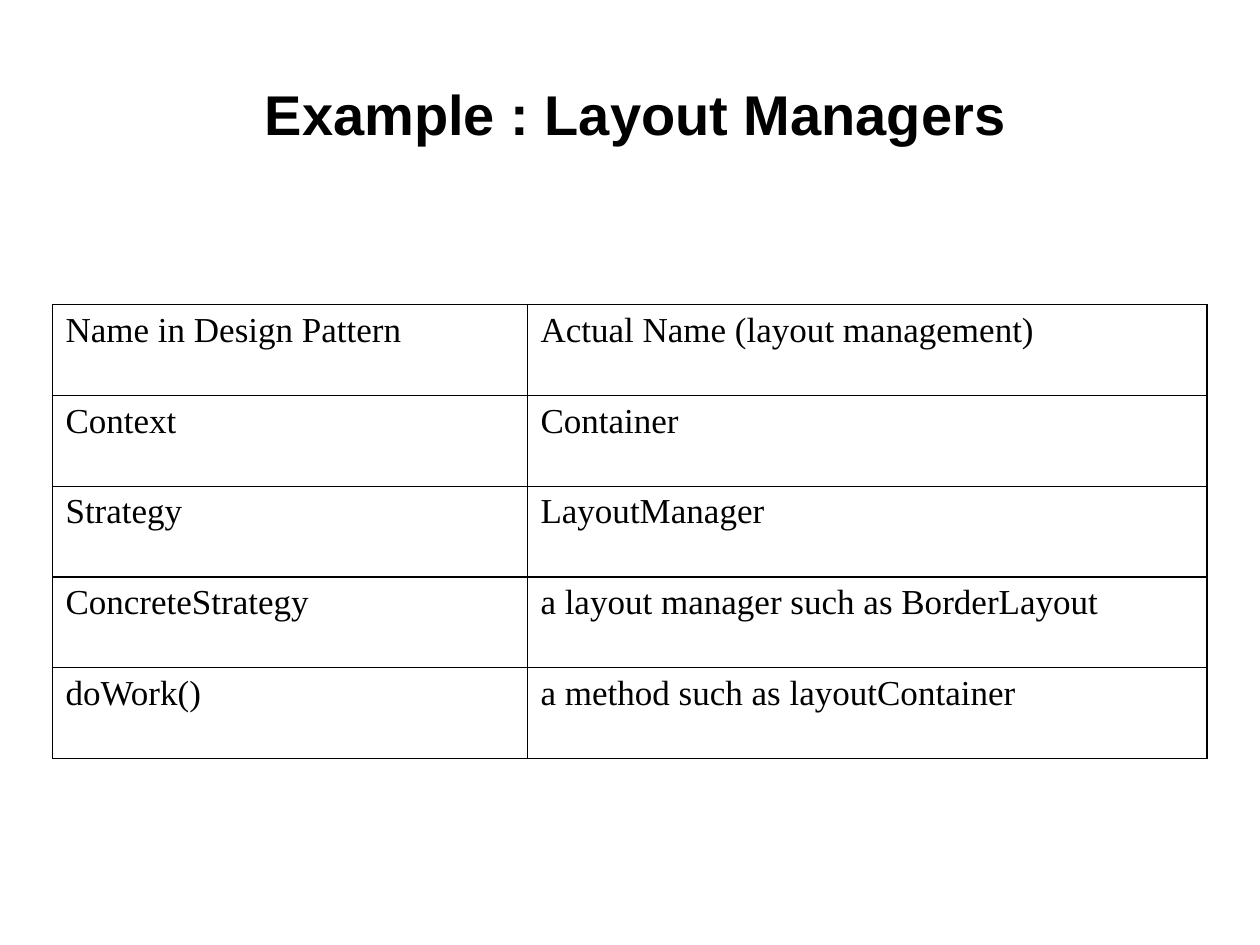
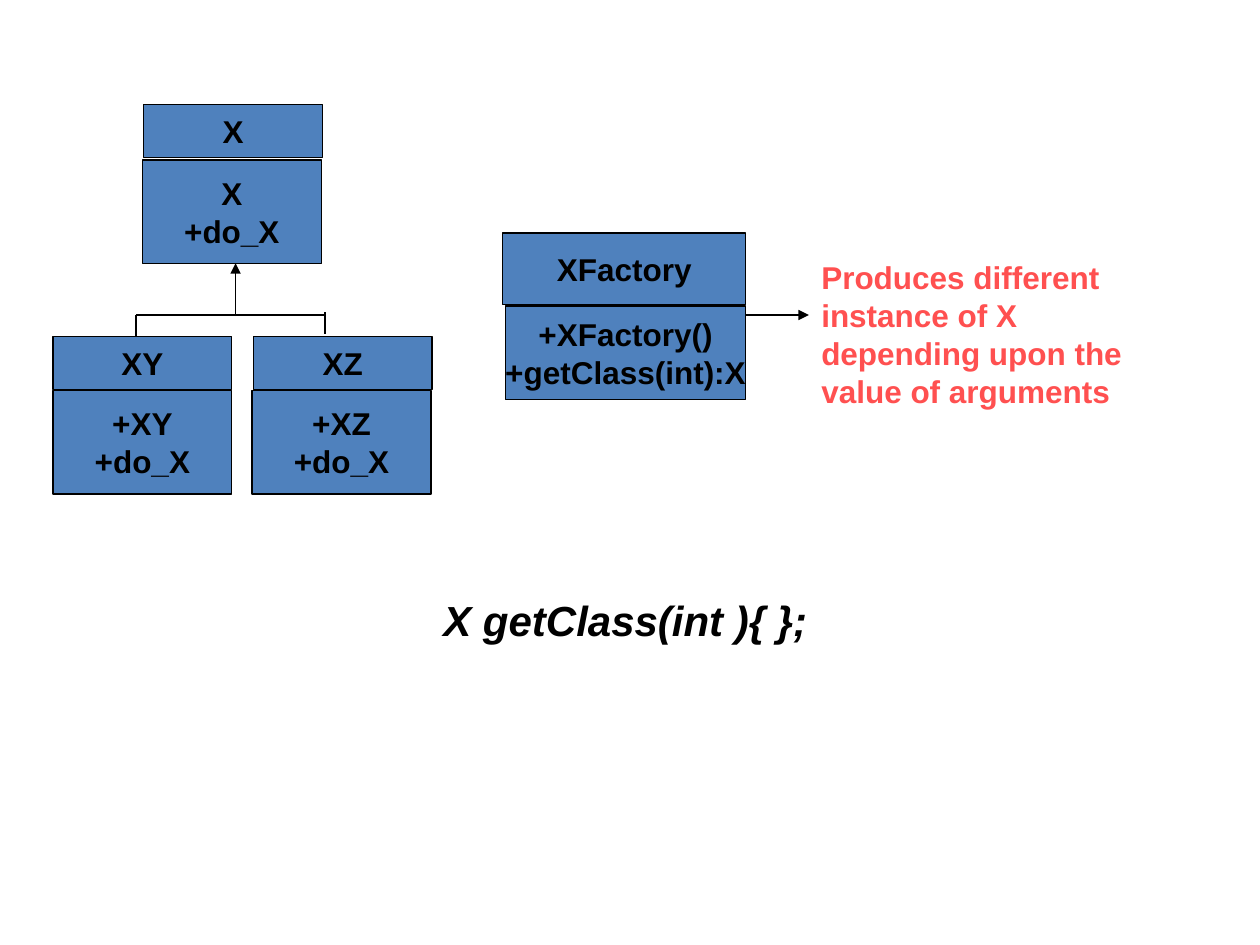
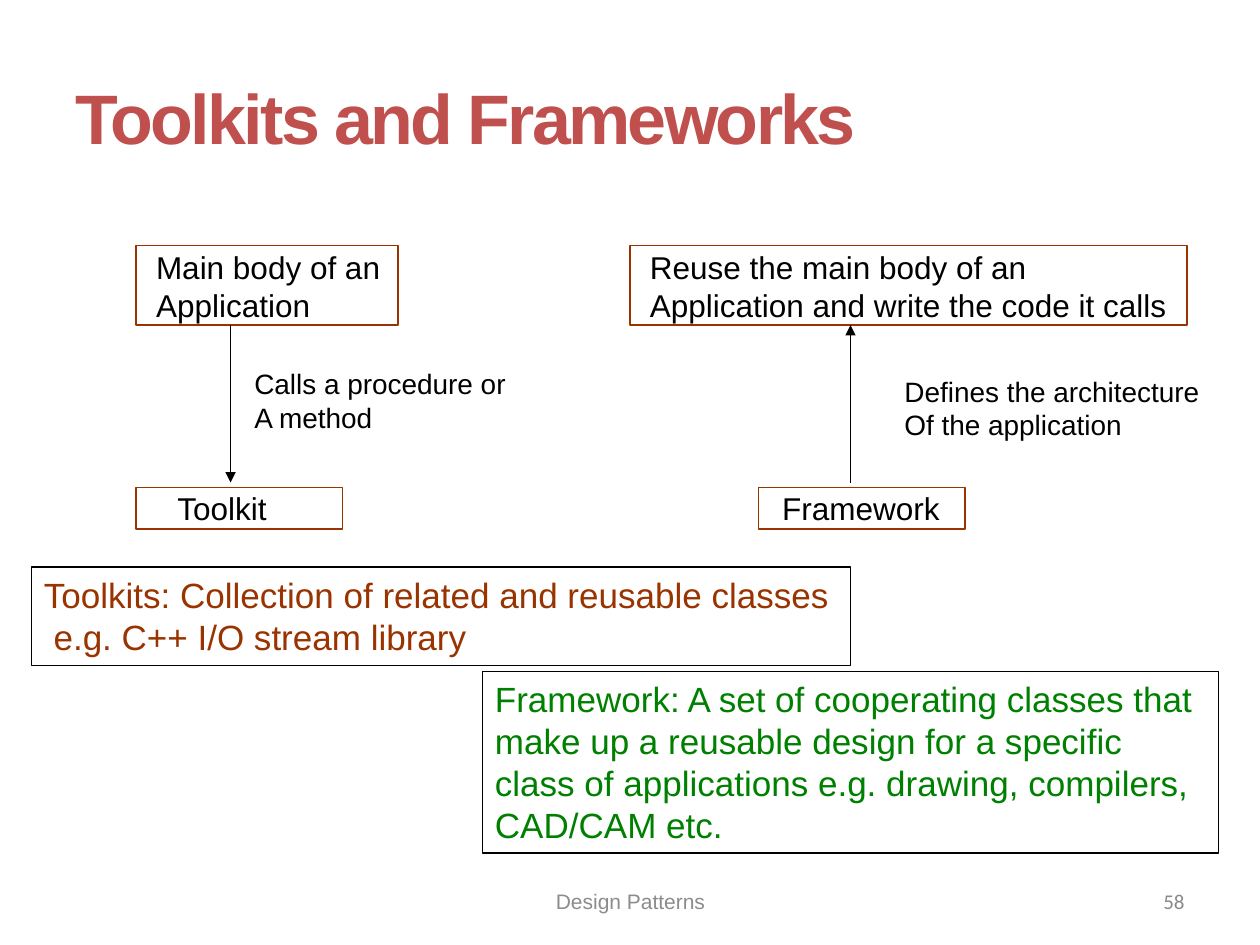
from lxml import etree
from pptx import Presentation
from pptx.dml.color import RGBColor
from pptx.enum.shapes import MSO_CONNECTOR, MSO_SHAPE
from pptx.enum.text import MSO_ANCHOR, MSO_AUTO_SIZE, PP_ALIGN
from pptx.oxml.ns import qn
from pptx.util import Inches, Pt

BLACK = RGBColor(0x00, 0x00, 0x00)
BLUE = RGBColor(0x4F, 0x81, 0xBD)
CORAL = RGBColor(0xFF, 0x50, 0x50)
RED = RGBColor(0xC0, 0x50, 0x4D)
RUST = RGBColor(0x99, 0x33, 0x00)
GREEN = RGBColor(0x00, 0x80, 0x00)
GREY = RGBColor(0x8C, 0x8C, 0x8C)
PALE = RGBColor(0x89, 0x89, 0x89)
LEFT, MID, RIGHT = PP_ALIGN.LEFT, PP_ALIGN.CENTER, PP_ALIGN.RIGHT
TOP, CENTRE = MSO_ANCHOR.TOP, MSO_ANCHOR.MIDDLE
NOFIT = MSO_AUTO_SIZE.NONE
RECT = MSO_SHAPE.RECTANGLE
STRAIGHT = MSO_CONNECTOR.STRAIGHT
THIN = Pt(0.75)


def write(frame, lines, size, color=BLACK, bold=False, align=LEFT,
          anchor=TOP, wrap=True, font="Arial"):
    frame.auto_size = NOFIT
    frame.word_wrap = wrap
    frame.vertical_anchor = anchor
    for i, line in enumerate(lines):
        para = frame.paragraphs[0] if i == 0 else frame.add_paragraph()
        para.alignment = align
        run = para.add_run()
        run.text = line
        run.font.size = Pt(size)
        run.font.name = font
        run.font.bold = bold
        run.font.color.rgb = color
    return run


def block(slide, x, y, w, h, edge=BLACK, fill=None):
    shape = slide.shapes.add_shape(RECT, Inches(x), Inches(y), Inches(w), Inches(h))
    shape.shadow.inherit = False
    shape.line.color.rgb = edge
    shape.line.width = THIN
    if fill is None:
        shape.fill.background()
    else:
        shape.fill.solid()
        shape.fill.fore_color.rgb = fill
    return shape.text_frame


deck = Presentation()
deck.slide_width, deck.slide_height = Inches(10), Inches(7.5)
titled, blank = deck.slide_layouts[5], deck.slide_layouts[6]
layout = deck.slides.add_slide(titled)
factory = deck.slides.add_slide(blank)
kits = deck.slides.add_slide(titled)

titles = [
    (layout, "Example : Layout Managers", 0.92, 0.58, 8.25, 0.63, 32, BLACK, MID, TOP, 0),
    (kits, "Toolkits and Frameworks", 0.5, 0.3, 9, 1.25, 40, RED, LEFT, CENTRE, -150),
]
for slide, text, x, y, w, h, size, color, align, anchor, gap in titles:
    title = slide.shapes.title
    title.left, title.top = Inches(x), Inches(y)
    title.width, title.height = Inches(w), Inches(h)
    run = write(title.text_frame, [text], size, color, True, align, anchor)
    run.font._element.set("spc", str(gap))

rows = [
    ("Name in Design Pattern", "Actual Name (layout management)"),
    ("Context", "Container"),
    ("Strategy", "LayoutManager"),
    ("ConcreteStrategy", "a layout manager such as BorderLayout"),
    ("doWork()", "a method such as layoutContainer"),
]
table = layout.shapes.add_table(
    len(rows), 2, Inches(0.42), Inches(2.42), Inches(9.16), Inches(3.6)).table
table.first_row = False
table.horz_banding = False
table.columns[0].width = Inches(3.77)
table.columns[1].width = Inches(5.39)
for r, row in enumerate(rows):
    for c, text in enumerate(row):
        cell = table.cell(r, c)
        run = cell.text_frame.paragraphs[0].add_run()
        run.text = text
        run.font.size = Pt(20)
        run.font.name = "Times New Roman"
        run.font.color.rgb = BLACK
        props = cell._tc.get_or_add_tcPr()
        for side in ("a:lnL", "a:lnR", "a:lnT", "a:lnB"):
            edge = etree.SubElement(props, qn(side), w=str(THIN))
            solid = etree.SubElement(edge, qn("a:solidFill"))
            etree.SubElement(solid, qn("a:srgbClr"), val=str(BLACK))
        cell.fill.background()

parts = [
    (1.14, 0.83, 1.42, 0.42, ["X"]),
    (1.13, 1.27, 1.42, 0.82, ["X", "+do_X"]),
    (0.42, 2.67, 1.42, 0.42, ["XY"]),
    (0.42, 3.1, 1.42, 0.82, ["+XY", "+do_X"]),
    (2.01, 2.67, 1.42, 0.42, ["XZ"]),
    (2, 3.1, 1.42, 0.82, ["+XZ", "+do_X"]),
    (3.99, 1.85, 1.93, 0.57, ["XFactory"]),
    (4.01, 2.43, 1.91, 0.74, ["+XFactory()", "+getClass(int):X"]),
]
for x, y, w, h, lines in parts:
    frame = block(factory, x, y, w, h, fill=BLUE)
    write(frame, lines, 18, bold=True, align=MID, anchor=CENTRE, wrap=False)

for x, y, w, h in [(1.08, 3.87, 1.64, 0.33), (1.08, 1.95, 2.08, 0.63),
                   (6.02, 3.87, 1.64, 0.33), (5, 1.95, 4.42, 0.63)]:
    block(kits, x, y, w, h, RUST)

write(block(kits, 0.25, 4.5, 6.5, 0.78),
      ["Toolkits: Collection of related and reusable classes",
       " e.g. C++ I/O stream library"], 20, RUST)
write(block(kits, 3.83, 5.33, 5.84, 1.44),
      ["Framework: A set of cooperating classes that make up a reusable design "
       "for a specific class of applications e.g. drawing, compilers, CAD/CAM etc."],
      20, GREEN)

notes = [
    (1.31, 3.83, 0.94, 0.4, 18, ["Toolkit"]),
    (1.14, 1.92, 1.98, 0.7, 18, ["Main body of an", "Application"]),
    (1.92, 2.86, 2.2, 0.64, 16, ["Calls a procedure or", "A method"]),
    (6.11, 3.83, 1.45, 0.4, 18, ["Framework"]),
    (5.06, 1.92, 4.3, 0.7, 18,
     ["Reuse the main body of an", "Application and write the code it calls"]),
    (7.08, 2.92, 2.55, 0.64, 16, ["Defines the architecture", "Of the application"]),
]
for x, y, w, h, size, lines in notes:
    box = kits.shapes.add_textbox(Inches(x), Inches(y), Inches(w), Inches(h))
    write(box.text_frame, lines, size, wrap=False)

box = factory.shapes.add_textbox(Inches(6.42), Inches(2), Inches(3), Inches(1.3))
write(box.text_frame,
      ["Produces different instance of X depending upon the value of arguments"],
      18, CORAL, True)
box = factory.shapes.add_textbox(Inches(3.42), Inches(4.67), Inches(6.25), Inches(0.5))
write(box.text_frame, ["X getClass(int ){ };"], 24, bold=True).font.italic = True

for x, w, text, color, align, font in [
        (3.42, 3.17, "Design Patterns", GREY, MID, "Arial"),
        (7.17, 2.33, "58", PALE, RIGHT, "Calibri")]:
    box = kits.shapes.add_textbox(Inches(x), Inches(6.95), Inches(w), Inches(0.4))
    write(box.text_frame, [text], 12, color, align=align, anchor=CENTRE, font=font)

links = [
    (factory, 1.87, 2.51, 1.87, 2.09, True),
    (factory, 1.08, 2.5, 2.58, 2.5, False),
    (factory, 1.08, 2.5, 1.08, 2.67, False),
    (factory, 2.58, 2.48, 2.58, 2.65, False),
    (factory, 5.92, 2.5, 6.42, 2.5, True),
    (kits, 1.83, 2.58, 1.83, 3.83, True),
    (kits, 6.75, 3.83, 6.75, 2.58, True),
]
for slide, x1, y1, x2, y2, tip in links:
    link = slide.shapes.add_connector(
        STRAIGHT, Inches(x1), Inches(y1), Inches(x2), Inches(y2))
    link.line.color.rgb = BLACK
    link.line.width = THIN
    if tip:
        etree.SubElement(link.line._get_or_add_ln(), qn("a:tailEnd"), type="triangle")
    etree.SubElement(link._element.spPr, qn("a:effectLst"))

deck.save("out.pptx")
